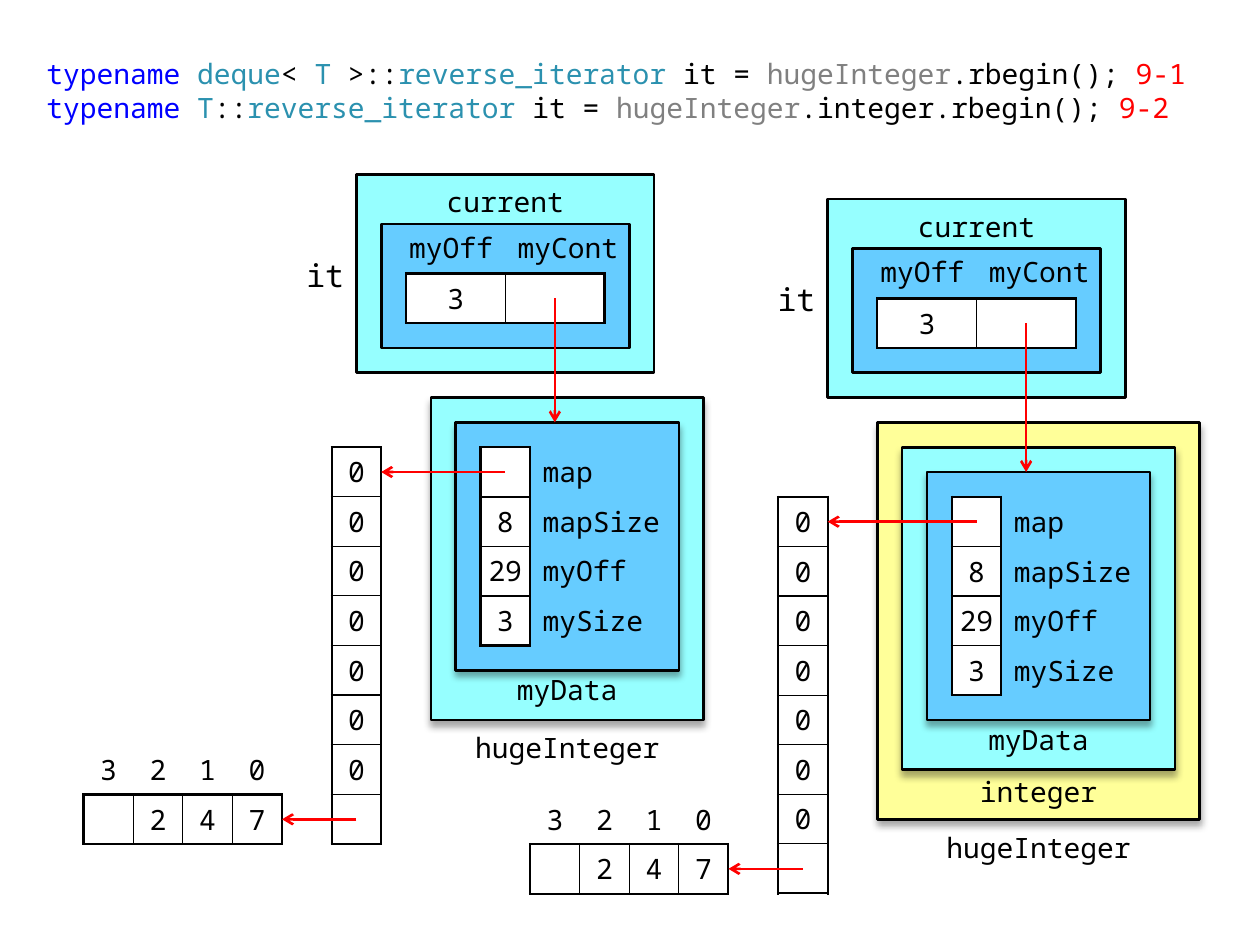
from lxml import etree
from pptx import Presentation
from pptx.dml.color import RGBColor
from pptx.enum.shapes import MSO_CONNECTOR, MSO_SHAPE
from pptx.enum.text import MSO_ANCHOR, PP_ALIGN
from pptx.oxml.ns import qn
from pptx.util import Inches, Pt

PROCESS = MSO_SHAPE.FLOWCHART_PROCESS
STRAIGHT = MSO_CONNECTOR.STRAIGHT
TOP, MIDDLE, BOTTOM = MSO_ANCHOR.TOP, MSO_ANCHOR.MIDDLE, MSO_ANCHOR.BOTTOM
LEFT, CENTER, RIGHT = PP_ALIGN.LEFT, PP_ALIGN.CENTER, PP_ALIGN.RIGHT

FONT = "Noto Sans Mono"
BLACK, WHITE, RED = "000000", "FFFFFF", "FF0000"
CYAN, BLUE, YELLOW = "96FFFF", "66CCFF", "FFFF99"
KEYWORD, TYPE, VARIABLE = "0000FF", "2B91AF", "808080"
LINE = 1.5

# Everything sits on a half-centimetre grid that starts at this corner.
STEP = 0.5 / 2.54
ORIGIN_X, ORIGIN_Y = 0.27, 0.4


def color(hex_code):
    return RGBColor.from_string(hex_code)


def add_xml(parent, tag, **attributes):
    return etree.SubElement(parent, qn(tag), attributes)


def place(x, y):
    return Inches(ORIGIN_X + x * STEP), Inches(ORIGIN_Y + y * STEP)


def span_of(width, height):
    return Inches(width * STEP), Inches(height * STEP)


class Diagram:
    """Draws memory diagrams on one page; positions are in grid steps."""

    def __init__(self, page):
        self.page = page

    def add_span(self, para, text, hex_code=BLACK, size=16):
        span = para.add_run()
        span.text = text
        span.font.name = FONT
        span.font.size = Pt(size)
        span.font.color.rgb = color(hex_code)

    def text_frame(self, x, y, width, height, anchor, insets):
        box = self.page.shapes.add_textbox(*place(x, y), *span_of(width, height))
        frame = box.text_frame
        frame.word_wrap = True
        frame.vertical_anchor = anchor
        (frame.margin_left, frame.margin_top,
         frame.margin_right, frame.margin_bottom) = map(Inches, insets)
        return frame

    def label(self, text, x, y, width, align=CENTER, anchor=TOP,
              insets=(0.08, 0.02, 0.08, 0), size=16):
        frame = self.text_frame(x, y, width, 2, anchor, insets)
        para = frame.paragraphs[0]
        para.alignment = align
        self.add_span(para, text, size=size)

    def code(self, x, y, width, height, lines):
        frame = self.text_frame(x, y, width, height, TOP, (0.1, 0.05, 0.1, 0.05))
        for index, pieces in enumerate(lines):
            para = frame.add_paragraph() if index else frame.paragraphs[0]
            for text, hex_code in pieces:
                self.add_span(para, text, hex_code)

    def panel(self, x, y, width, height, fill, shadow=False):
        box = self.page.shapes.add_shape(PROCESS, *place(x, y), *span_of(width, height))
        box.shadow.inherit = False
        box.fill.solid()
        box.fill.fore_color.rgb = color(fill)
        box.line.color.rgb = color(BLACK)
        box.line.width = Pt(LINE)
        if shadow:
            effects = box._element.spPr.find(qn("a:effectLst"))
            outer = add_xml(effects, "a:outerShdw", blurRad=str(Pt(4)), dist=str(Pt(3)),
                            dir="5400000", rotWithShape="0")
            shade = add_xml(outer, "a:srgbClr", val=BLACK)
            add_xml(shade, "a:alpha", val="35000")

    def arrow(self, x1, y1, x2, y2):
        link = self.page.shapes.add_connector(STRAIGHT, *place(x1, y1), *place(x2, y2))
        link.line.color.rgb = color(RED)
        link.line.width = Pt(LINE)
        add_xml(link.line._get_or_add_ln(), "a:tailEnd", type="arrow")
        add_xml(link._element.spPr, "a:effectLst")

    def border(self, cell, side, width):
        properties = cell._tc.get_or_add_tcPr()
        if width is None:
            add_xml(add_xml(properties, "a:ln" + side, w="0"), "a:noFill")
        else:
            edge = add_xml(properties, "a:ln" + side, w=str(Pt(width)))
            add_xml(add_xml(edge, "a:solidFill"), "a:srgbClr", val=BLACK)

    def grid(self, x, y, rows, widths, boxed, inner=0.75):
        """Table whose boxed (row, column) cells are white and outlined."""
        frame = self.page.shapes.add_table(
            len(rows), len(widths), *place(x, y), *span_of(sum(widths), 2 * len(rows)))
        table = frame.table
        table.first_row = table.horz_banding = False
        for column, width in zip(table.columns, widths):
            column.width = Inches(width * STEP)
        for r, row in enumerate(rows):
            for c, text in enumerate(row):
                cell = table.cell(r, c)
                is_boxed = (r, c) in boxed
                neighbours = {"L": (r, c - 1), "R": (r, c + 1), "T": (r - 1, c), "B": (r + 1, c)}
                for side, neighbour in neighbours.items():
                    touching = is_boxed + (neighbour in boxed)
                    self.border(cell, side, (None, LINE, inner)[touching])
                if is_boxed:
                    cell.fill.solid()
                    cell.fill.fore_color.rgb = color(WHITE)
                else:
                    cell.fill.background()
                is_word = text.isalpha()
                cell.vertical_anchor = MIDDLE
                cell.margin_left = cell.margin_right = Inches(0.1 if is_word else 0.04)
                cell.margin_top = cell.margin_bottom = Inches(0.04)
                if text:
                    para = cell.text_frame.paragraphs[0]
                    para.alignment = LEFT if is_word else CENTER
                    self.add_span(para, text)

    def deque(self, x, y):
        self.panel(x, y, 11, 13, CYAN, shadow=True)
        self.panel(x + 1, y + 1, 9, 10, BLUE, shadow=True)
        self.label("myData", x + 3, y + 11, 5)
        fields = [("", "map"), ("8", "mapSize"), ("29", "myOff"), ("3", "mySize")]
        self.grid(x + 2, y + 2, fields, (2, 6), {(r, 0) for r in range(4)}, inner=1)

    def owner_label(self, x, y):
        self.label("hugeInteger", x, y, 9, anchor=BOTTOM, insets=(0.08, 0.05, 0.08, 0.04))

    def storage(self, x, y, pointer_x):
        """Map column at (x, y), its last block, and the arrows to both."""
        self.grid(x, y, [("0",)] * 7 + [("",)], (2,), {(r, 0) for r in range(8)})
        self.grid(x - 10, y + 12, [("3", "2", "1", "0"), ("", "2", "4", "7")],
                  (2,) * 4, {(1, c) for c in range(4)})
        self.arrow(pointer_x, y + 1, x + 2, y + 1)
        self.arrow(x + 1, y + 15, x - 2, y + 15)

    def iterator(self, x, y, target_y):
        self.panel(x, y, 12, 8, CYAN)
        self.label("it", x - 3, y + 3, 3, RIGHT, BOTTOM, (0.1, 0.05, 0.1, 0.04), 18)
        self.label("current", x + 3, y, 6, anchor=MIDDLE, insets=(0.08, 0.04, 0.08, 0))
        self.panel(x + 1, y + 2, 10, 5, BLUE)
        self.grid(x + 2, y + 4, [("3", "")], (4, 4), {(0, 0), (0, 1)})
        self.label("myCont", x + 6, y + 2, 5, LEFT, insets=(0.1, 0.05, 0.05, 0.05))
        self.label("myOff", x + 1, y + 2, 5, RIGHT, insets=(0.1, 0.05, 0.1, 0.05))
        self.arrow(x + 8, y + 5, x + 8, target_y)


def main():
    deck = Presentation()
    deck.slide_width, deck.slide_height = Inches(10), Inches(7.5)
    diagram = Diagram(deck.slides.add_slide(deck.slide_layouts[6]))

    diagram.code(0, 0, 48, 4, [
        [("typename ", KEYWORD), ("deque", TYPE), ("< ", BLACK), ("T", TYPE), (" >::", BLACK),
         ("reverse_iterator", TYPE), (" it = ", BLACK), ("hugeInteger", VARIABLE),
         (".rbegin(); ", BLACK), ("9-1", RED)],
        [("typename ", KEYWORD), ("T", TYPE), ("::", BLACK), ("reverse_iterator", TYPE),
         (" it = ", BLACK), ("hugeInteger", VARIABLE), (".integer.rbegin(); ", BLACK),
         ("9-2", RED)],
    ])

    diagram.deque(16, 14)
    diagram.owner_label(17, 27)
    diagram.storage(12, 16, pointer_x=19)
    diagram.iterator(13, 5, target_y=15)

    diagram.panel(34, 15, 13, 16, YELLOW, shadow=True)
    diagram.deque(35, 16)
    diagram.label("integer", 37, 29, 7, insets=(0.08, 0.04, 0.08, 0))
    diagram.owner_label(36, 31)
    diagram.storage(30, 18, pointer_x=38)
    diagram.iterator(32, 6, target_y=17)

    deck.save("out.pptx")


if __name__ == "__main__":
    main()
